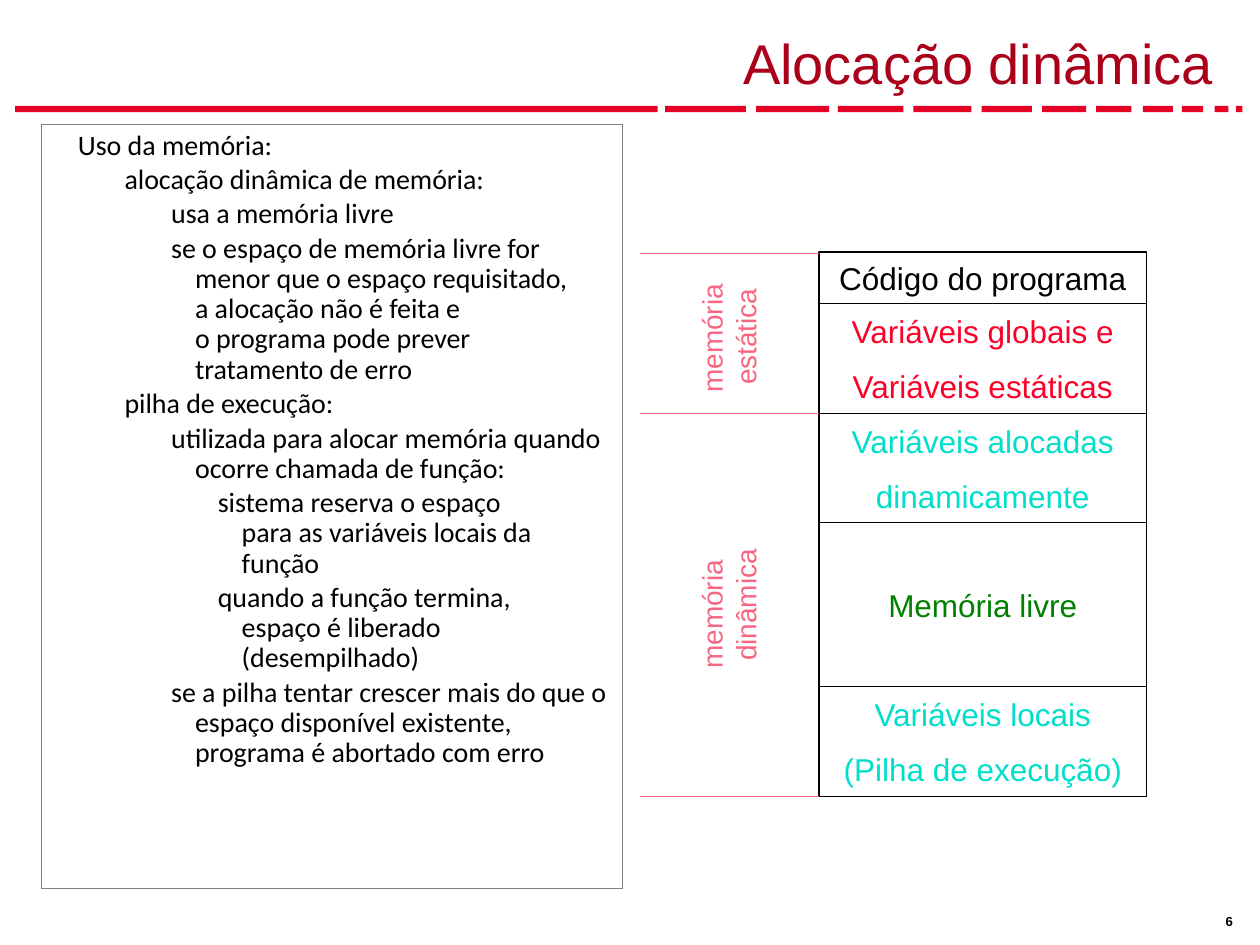
from copy import deepcopy

from lxml.etree import SubElement
from pptx import Presentation
from pptx.dml.color import RGBColor
from pptx.enum.shapes import MSO_CONNECTOR as CONN, MSO_SHAPE as SHAPE
from pptx.enum.text import MSO_ANCHOR as ANCHOR, PP_ALIGN as ALIGN
from pptx.oxml.ns import qn
from pptx.util import Inches, Pt

BLACK = RGBColor(0x00, 0x00, 0x00)
GRAY = RGBColor(0x7F, 0x7F, 0x7F)
CRIMSON = RGBColor(0xE4, 0x01, 0x23)
DARK_RED = RGBColor(0xAA, 0x00, 0x1A)
RED = RGBColor(0xFC, 0x01, 0x28)
TEAL = RGBColor(0x00, 0xDF, 0xCA)
GREEN = RGBColor(0x00, 0x80, 0x00)
PINK = RGBColor(0xF7, 0x66, 0x81)

# (left, width) of each dash in the rule under the title
DASHES = [(0.12, 5.1), (5.28, 0.64), (6, 0.58), (6.65, 0.52), (7.25, 0.46),
          (7.79, 0.4), (8.27, 0.35), (8.7, 0.28), (9.07, 0.24), (9.38, 0.17),
          (9.64, 0.11), (9.81, 0.05)]

# (level, text)
MEMORY_USE = [
    (0, "Uso da memória:"),
    (1, "alocação dinâmica de memória:"),
    (2, "usa a memória livre"),
    (2, "se o espaço de memória livre for menor que o espaço requisitado, \n"
        "a alocação não é feita e \no programa pode prever \ntratamento de erro"),
    (1, "pilha de execução:"),
    (2, "utilizada para alocar memória quando ocorre chamada de função:"),
    (3, "sistema reserva o espaço \npara as variáveis locais da função"),
    (3, "quando a função termina, \nespaço é liberado (desempilhado)"),
    (2, "se a pilha tentar crescer mais do que o espaço disponível existente, \n"
        "programa é abortado com erro"),
]

# (top, lines, colour) of each memory region, stacked down to STACK_BOTTOM
REGIONS = [
    (2, ["Código do programa"], BLACK),
    (2.41, ["Variáveis globais e", "Variáveis estáticas"], RED),
    (3.28, ["Variáveis alocadas", "dinamicamente"], TEAL),
    (4.15, ["Memória livre"], GREEN),
    (5.45, ["Variáveis locais", "(Pilha de execução)"], TEAL),
]
STACK_LEFT, STACK_WIDTH, STACK_BOTTOM = 6.5, 2.6, 6.32


class SlideBuilder:
    def __init__(self, s, font="Arial", line_width=0.75):
        self.s, self.font, self.line_width = s, font, line_width

    def rect(self, box, fill=None, line=None):
        sp = self.s.shapes.add_shape(SHAPE.RECTANGLE, *map(Inches, box))
        sp.shadow.inherit = False
        if fill is None:
            sp.fill.background()
        else:
            sp.fill.solid()
            sp.fill.fore_color.rgb = fill
        if line is None:
            sp.line.fill.background()
        else:
            sp.line.color.rgb = line
            sp.line.width = Pt(self.line_width)
        return sp

    def fill_text(self, sp, lines, size, color, anchor=ANCHOR.TOP, font=None,
                  bold=False, **paragraph_format):
        """Fill the shape with one paragraph per line and return them."""
        tf = sp.text_frame
        tf.word_wrap = True
        tf.vertical_anchor = anchor
        font_format = {"name": font or self.font, "size": Pt(size), "bold": bold}
        paragraph_format = {"alignment": ALIGN.LEFT, **paragraph_format}
        for i, line in enumerate(lines):
            p = tf.add_paragraph() if i else tf.paragraphs[0]
            p.text = line
            for name, value in paragraph_format.items():
                setattr(p, name, value)
            for r in p.runs:
                for name, value in font_format.items():
                    setattr(r.font, name, value)
                r.font.color.rgb = color
            # line breaks need the run's size to keep the line height
            for br in p._p.findall(qn("a:br")):
                br.append(deepcopy(p.runs[0]._r.rPr))
        return tf.paragraphs

    def text(self, box, lines, size, color, rotation=0, **text_format):
        sp = self.s.shapes.add_textbox(*map(Inches, box))
        sp.rotation = rotation
        self.fill_text(sp, lines, size, color, **text_format)

    def outline(self, box, items):
        """Framed list whose indent grows with the level."""
        levels, lines = zip(*items)
        paragraphs = self.fill_text(self.rect(box, line=GRAY), lines, 16, BLACK,
                                    font="Calibri", line_spacing=0.9,
                                    space_before=Pt(2.4))
        for p, level in zip(paragraphs, levels):
            p.level = level
            pPr = p._p.get_or_add_pPr()
            pPr.set("marL", str(Inches(0.38) + level * Inches(0.37)))
            pPr.set("indent", str(Inches(-0.19)))

    def region(self, box, lines, color):
        sp = self.rect(box, line=BLACK)
        paragraphs = self.fill_text(sp, lines, 18, color, anchor=ANCHOR.MIDDLE,
                                    alignment=ALIGN.CENTER)
        for p in paragraphs[1:]:
            p.space_before = Pt(10)

    def line(self, x1, y1, x2, y2, color):
        c = self.s.shapes.add_connector(CONN.STRAIGHT,
                                        *map(Inches, (x1, y1, x2, y2)))
        c.line.color.rgb = color
        c.line.width = Pt(self.line_width)
        SubElement(c._element.spPr, qn("a:effectLst"))


def main():
    prs = Presentation()
    prs.slide_width, prs.slide_height = Inches(10), Inches(7.5)
    b = SlideBuilder(prs.slides.add_slide(prs.slide_layouts[6]))

    for left, width in DASHES:
        b.rect((left, 0.84, width, 0.05), fill=CRIMSON)
    b.text((9.63, 7.2, 0.33, 0.2), ["6"], 7.5, BLACK, bold=True)
    b.text((0.31, 0.08, 9.42, 0.73), ["Alocação dinâmica"], 32, DARK_RED,
           anchor=ANCHOR.BOTTOM, alignment=ALIGN.RIGHT)
    b.outline((0.33, 0.99, 4.61, 6.06), MEMORY_USE)

    bottoms = [top for top, *_ in REGIONS[1:]] + [STACK_BOTTOM]
    for (top, lines, color), bottom in zip(REGIONS, bottoms):
        b.region((STACK_LEFT, top, STACK_WIDTH, bottom - top), lines, color)

    for top, kind in ((2.26, " estática"), (4.45, " dinâmica")):
        b.text((5.15, top, 1.27, 0.64), ["memória", kind], 16, PINK, rotation=270)
    for y in (2.01, 3.28, STACK_BOTTOM):
        b.line(5.08, y, STACK_LEFT, y, PINK)

    prs.save("out.pptx")


if __name__ == "__main__":
    main()
